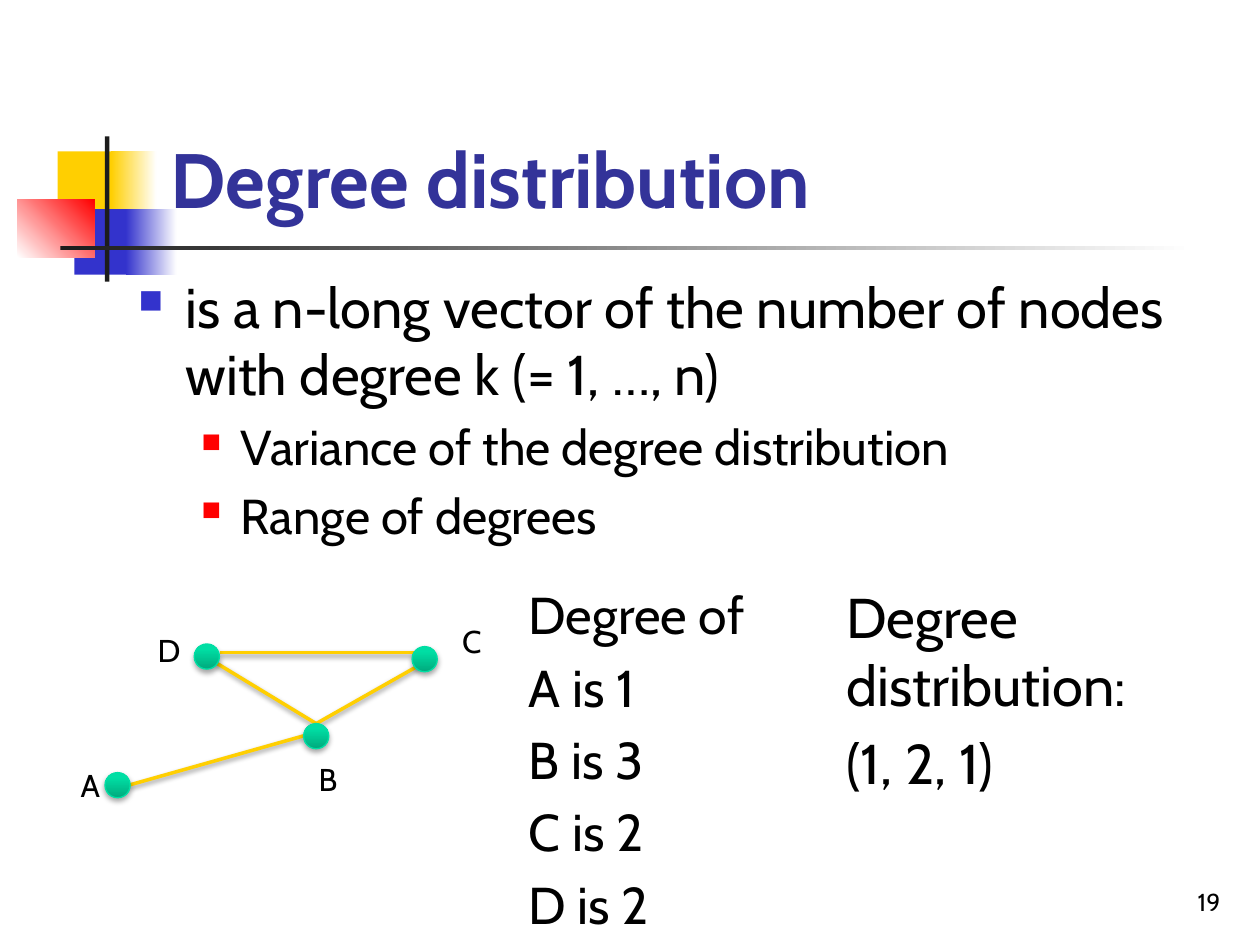
import pptx
import pptx.util
import pptx.dml.color
import pptx.enum.dml
import pptx.enum.shapes
import pptx.enum.text
import pptx.oxml
import pptx.oxml.ns
from lxml import etree

Pt = pptx.util.Pt
RGB = pptx.dml.color.RGBColor.from_string
qn = pptx.oxml.ns.qn
Kind = pptx.enum.shapes.MSO_SHAPE
Side = pptx.enum.text.PP_ALIGN
Hold = pptx.enum.text.MSO_ANCHOR
FONT = "Cabin"
HUES = {
    "gold": "FFCF01", "blue": "3333CC", "red": "FF0000", "white": "FFFFFF",
    "dark": "1C1C1C", "title": "333399", "black": "000000",
    "deep": "00AA7D", "green": "00DEA4", "rim": "00DFA4",
}

deck = pptx.Presentation()
deck.slide_width, deck.slide_height = Pt(720), Pt(540)
slide = deck.slides.add_slide(deck.slide_layouts[5])
shapes = slide.shapes


def write(text, box, size=18, hue="black", bold=False, side=Side.LEFT,
          hold=Hold.TOP, wrap=True, gap=0, shape=None):
    shape = shape or shapes.add_textbox(0, 0, 0, 0)
    shape.left, shape.top, shape.width, shape.height = map(Pt, box)
    frame = shape.text_frame
    frame.text = text
    frame.auto_size = pptx.enum.text.MSO_AUTO_SIZE.NONE
    frame.word_wrap, frame.vertical_anchor = wrap, hold
    for para in frame.paragraphs:
        para.alignment, para.space_before = side, Pt(gap)
        for run in para.runs:
            run.font.name, run.font.size, run.font.bold = FONT, Pt(size), bold
            run.font.color.rgb = RGB(HUES[hue])
    return frame


def form(kind, box, hue, fade=None, angle=0, stop=1):
    shape = shapes.add_shape(kind, *map(Pt, box))
    shape.shadow.inherit = False
    shape.line.fill.background()
    if fade:
        shape.fill.gradient()
        shape.fill.gradient_angle = angle
        for point, name, place in zip(shape.fill.gradient_stops, (hue, fade), (0, stop)):
            point.color.rgb, point.position = RGB(HUES[name]), place
    else:
        shape.fill.solid()
        shape.fill.fore_color.rgb = RGB(HUES[hue])
    return shape


for box, hue, fade, angle in [
    ((33, 86.5, 34.5, 37.5), "gold", None, 0),
    ((63.5, 86.5, 26, 37.5), "gold", "white", 0),
    ((42.5, 119.5, 33, 37.5), "blue", None, 0),
    ((72, 119.5, 29, 37.5), "blue", "white", 0),
    ((10, 114, 44, 33), "white", "red", 45),
    ((60, 78, 2.5, 83), "dark", None, 0),
    ((34.5, 140.5, 648, 2.5), "dark", "white", 0),
]:
    form(Kind.RECTANGLE, box, hue, fade, angle)

write("Degree distribution", (90.5, 16.5, 613.5, 115), size=44, hue="title",
      bold=True, hold=Hold.BOTTOM, shape=shapes.title)

body = write("is a n-long vector of the number of nodes with degree k (= 1, …, n)\n"
             "Variance of the degree distribution\nRange of degrees",
             (72, 152, 612, 178), size=32, gap=6.4)
for rank, para in enumerate(body.paragraphs):
    left, hang, hue, part = (58.5, 22.5, "red", 55) if rank else (27, 27, "blue", 60)
    if rank:
        para.level, para.space_before = 1, Pt(5.6)
        para.runs[0].font.size = Pt(28)
    props = para._p.get_or_add_pPr()
    props.set("marL", str(Pt(left)))
    props.set("indent", str(-Pt(hang)))
    tint = etree.SubElement(props, qn("a:buClr"))
    etree.SubElement(tint, qn("a:srgbClr"), val=HUES[hue])
    etree.SubElement(props, qn("a:buSzPct"), val=str(part * 1000))
    etree.SubElement(props, qn("a:buChar"), char="■")

soft = []
for ends in [(125.5, 373, 240.5, 373), (180.7, 413.5, 123, 378.5),
             (180.7, 413.5, 242.5, 378.5), (74.2, 448.5, 173.5, 420.5)]:
    edge = shapes.add_connector(pptx.enum.shapes.MSO_CONNECTOR.STRAIGHT, *map(Pt, ends))
    edge.line.color.rgb, edge.line.width = RGB(HUES["gold"]), Pt(2)
    soft.append((edge, 38, 1.6))

for name, spot, label in [
    ("A", (60, 441.5), (39, 434)), ("B", (173.5, 413.5), (175, 431)),
    ("C", (235.5, 369.5), (257, 352)), ("D", (111, 368), (83, 357)),
]:
    node = form(Kind.OVAL, (*spot, 14.4, 14.4), "deep", "green", 90, 0.8)
    node.line.color.rgb, node.line.width = RGB(HUES["rim"]), Pt(0.75)
    soft.append((node, 35, 1.8))
    write(name, (*label, 25, 29), wrap=False)

for item, shade, drop in soft:
    props = item._element.spPr
    fx = props.find(qn("a:effectLst"))
    if fx is None:
        fx = etree.SubElement(props, qn("a:effectLst"))
    cast = etree.SubElement(fx, qn("a:outerShdw"), blurRad=str(Pt(3.1)),
                            dist=str(Pt(drop)), dir="5400000", rotWithShape="0")
    tint = etree.SubElement(cast, qn("a:srgbClr"), val=HUES["black"])
    etree.SubElement(tint, qn("a:alpha"), val=str(shade * 1000))

write("Degree distribution:\n(1, 2, 1)", (476.5, 329.5, 230.5, 178), size=32, gap=6.4)
write("Degree of\nA is 1\nB is 3\nC is 2\nD is 2", (295, 329.5, 150, 210),
      size=29.6, gap=5.9)
write("19", (554.5, 491.5, 150, 36), size=14, side=Side.RIGHT, hold=Hold.BOTTOM)

deck.save("out.pptx")
